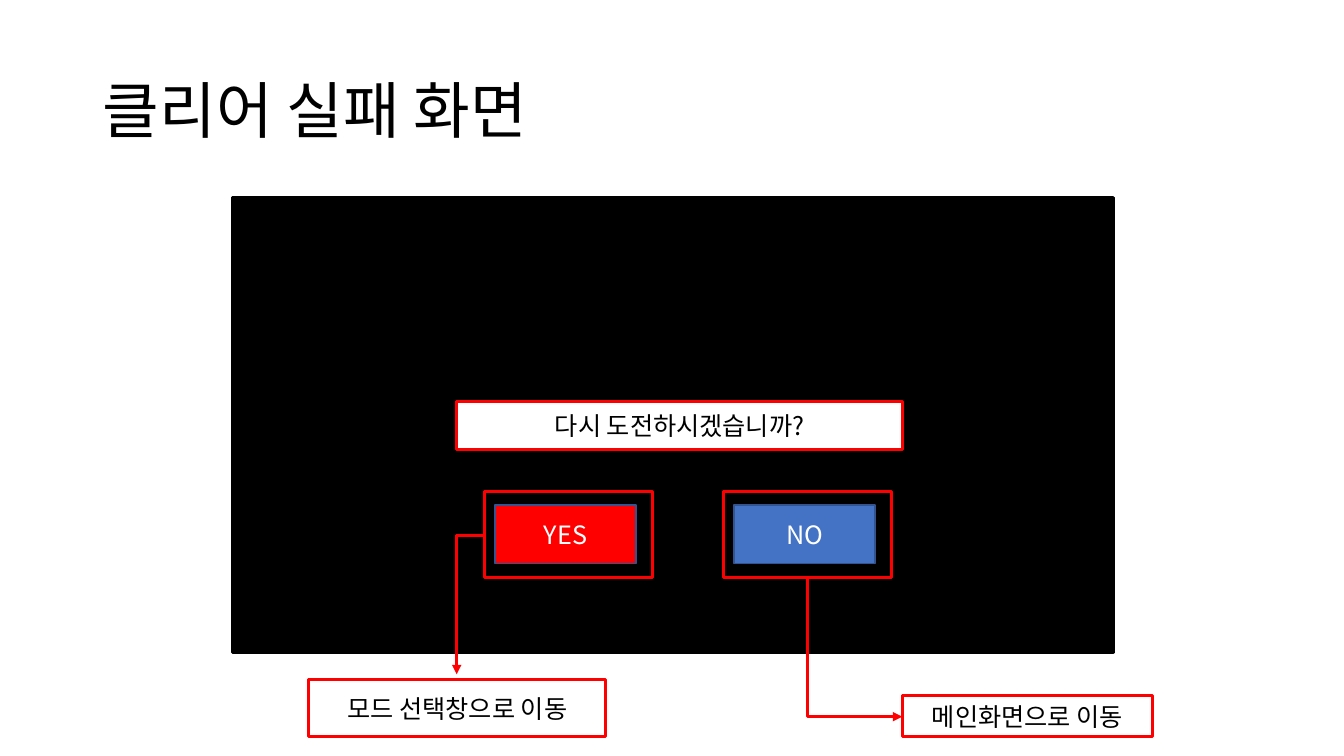
import dataclasses

import pptx
import pptx.dml.color
import pptx.enum.shapes
import pptx.enum.text
import pptx.oxml
import pptx.oxml.ns
import pptx.util

PX = 9144


@dataclasses.dataclass(frozen=True)
class Theme:
    """Colours, font and sizes of the slide."""

    font: str = "Noto Sans CJK KR"
    black: str = "000000"
    white: str = "FFFFFF"
    red: str = "FF0000"
    blue: str = "4472C4"
    edge: str = "325491"
    title: int = 44
    body: int = 18
    thick: float = 2.25
    thin: float = 1


THEME = Theme()


def px(*lengths):
    """Turn px lengths into EMU."""
    return [pptx.util.Emu(round(n * PX)) for n in lengths]


def rgb(color):
    """Turn a hex string into a colour."""
    return pptx.dml.color.RGBColor.from_string(color)


def set_attrs(target, values):
    """Set each attribute in a dict of format values."""
    for name, value in values.items():
        setattr(target, name, value)


def write(sp, text, size, color, align):
    """Write one formatted, vertically centred line of text."""
    tf = sp.text_frame
    set_attrs(tf, {"word_wrap": True, "vertical_anchor": pptx.enum.text.MSO_ANCHOR.MIDDLE})
    p = tf.paragraphs[0]
    p.alignment = align
    r = p.add_run()
    r.text = text
    set_attrs(r.font, {"name": THEME.font, "size": pptx.util.Pt(size), "bold": False})
    r.font.color.rgb = rgb(color)
    ea = pptx.oxml.parse_xml(
        f'<a:ea {pptx.oxml.ns.nsdecls("a")} typeface="{THEME.font}"/>')
    r.font._element.find(pptx.oxml.ns.qn("a:latin")).addnext(ea)
    return p


def stroke(line, color, width):
    """Give a line its colour and width."""
    line.color.rgb = rgb(color)
    line.width = pptx.util.Pt(width)


def add_title(s, text, box):
    """Place and fill the title placeholder."""
    sp = s.shapes.title
    set_attrs(sp, dict(zip(("left", "top", "width", "height"), px(*box))))
    p = write(sp, text, THEME.title, THEME.black, pptx.enum.text.PP_ALIGN.LEFT)
    p.line_spacing = 0.9


def add_box(s, box, text=None, fill=None, line=THEME.red, width=THEME.thick,
            color=THEME.black):
    """Add a rectangle, unfilled unless a fill is given."""
    sp = s.shapes.add_shape(pptx.enum.shapes.MSO_SHAPE.RECTANGLE, *px(*box))
    sp.shadow.inherit = False
    if fill:
        sp.fill.solid()
        sp.fill.fore_color.rgb = rgb(fill)
    else:
        sp.fill.background()
    stroke(sp.line, line, width)
    if text:
        write(sp, text, THEME.body, color, pptx.enum.text.PP_ALIGN.CENTER)


def add_elbow(s, start, end, down_first=False):
    """Add a one-bend arrow, turning the connector if it leaves downwards."""
    (x1, y1), (x2, y2) = start, end
    if down_first:
        cx, cy = (x1 + x2) / 2, (y1 + y2) / 2
        w, h = y2 - y1, x2 - x1
        x1, y1, x2, y2 = cx + w / 2, cy - h / 2, cx - w / 2, cy + h / 2
    c = s.shapes.add_connector(pptx.enum.shapes.MSO_CONNECTOR.ELBOW, *px(x1, y1, x2, y2))
    stroke(c.line, THEME.red, THEME.thick)
    ns = pptx.oxml.ns.nsdecls("a")
    pr = c._element.spPr
    pr.find(pptx.oxml.ns.qn("a:prstGeom")).set("prst", "bentConnector2")
    if down_first:
        pr.find(pptx.oxml.ns.qn("a:xfrm")).set("rot", str(270 * 60000))
    pr.find(pptx.oxml.ns.qn("a:ln")).append(
        pptx.oxml.parse_xml(f'<a:tailEnd {ns} type="triangle"/>'))
    pr.append(pptx.oxml.parse_xml(f"<a:effectLst {ns}/>"))


def main():
    """Build the retry screen slide."""
    prs = pptx.Presentation()
    prs.slide_width, prs.slide_height = px(1333, 750)
    s = prs.slides.add_slide(prs.slide_layouts.get_by_name("Title Only"))
    add_title(s, "클리어 실패 화면", (92, 40, 1150, 145))
    add_box(s, (231, 196, 873, 451), fill=THEME.black, line=THEME.black)
    add_box(s, (453, 398, 442, 48), "다시 도전하시겠습니까?", THEME.white)
    for label, fill, left, frame_left in (("YES", THEME.red, 491, 481),
                                          ("NO", THEME.blue, 728, 718)):
        add_box(s, (left, 501, 140, 58), label, fill, THEME.edge, THEME.thin, THEME.white)
        add_box(s, (frame_left, 488, 166, 85))
    add_elbow(s, (481, 531), (453, 669))
    add_elbow(s, (801, 574), (895, 711), down_first=True)
    add_box(s, (306, 674, 295, 57), "모드 선택창으로 이동")
    add_box(s, (895, 690, 248, 41), "메인화면으로 이동")
    prs.save("out.pptx")


if __name__ == "__main__":
    main()
